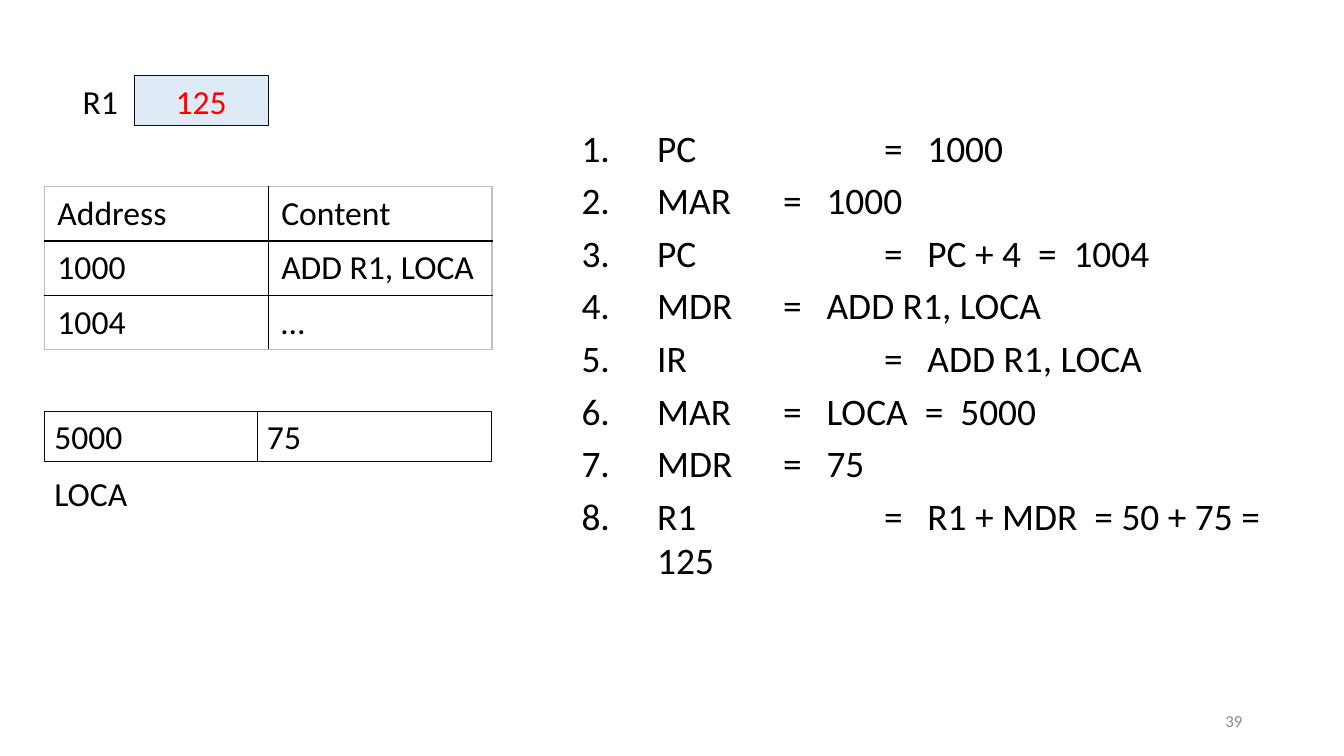
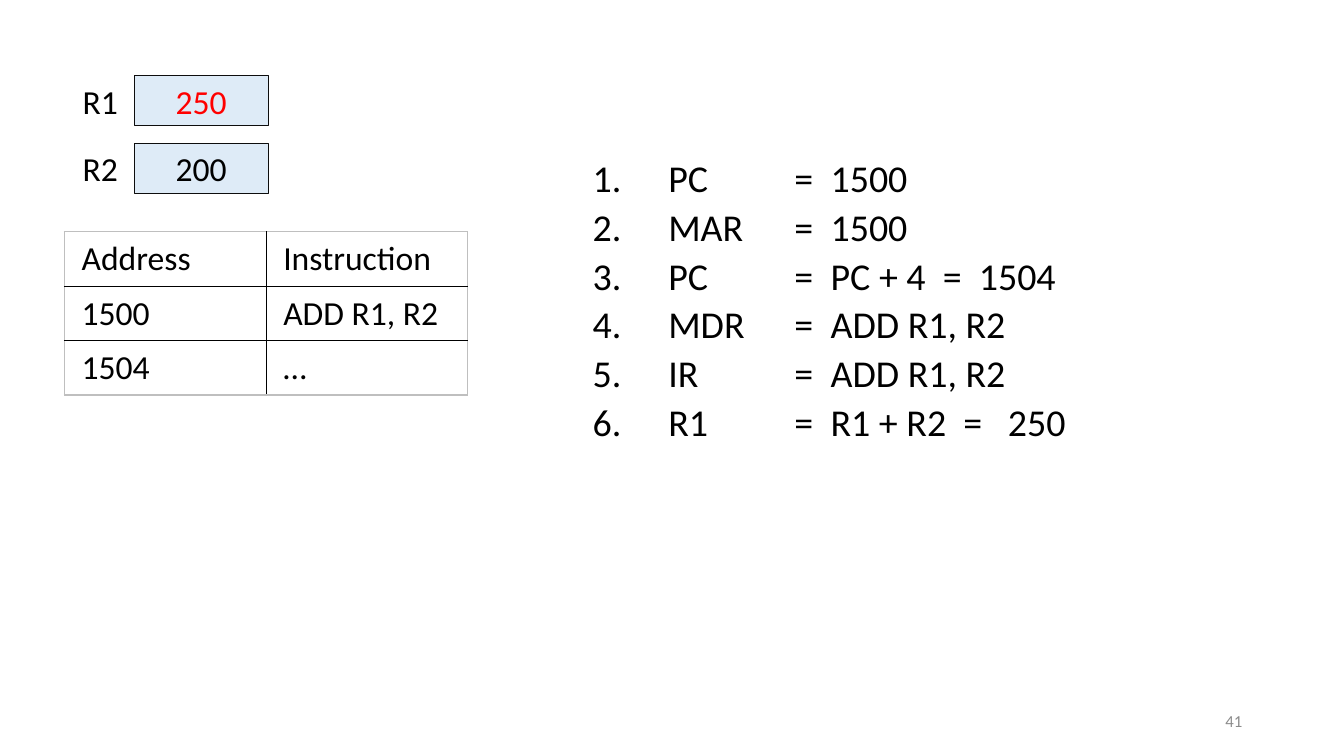
"""Build two slides that trace an ADD instruction through the CPU registers."""
from dataclasses import dataclass

from lxml import etree
from pptx import Presentation
from pptx import util as u
from pptx.dml.color import RGBColor
from pptx.enum import shapes, text
from pptx.oxml import ns

COLORS = {
    "ink": "000000",
    "outline": "0D0D0D",
    "register": "DEEBF7",
    "result": "FF0000",
    "edge": "BFBFBF",
    "number": "8C8C8C",
}
FONT = "Calibri"
BODY_SIZE = 24
BOX_HEIGHT = 0.5
ROW_HEIGHT = 0.54
INDENT = 0.75
STEP_GAP = 5.5
REGISTER_TOP = 0.75
REGISTER_PITCH = 0.67


@dataclass(frozen=True)
class Label:
    words: str
    left: float
    top: float
    width: float
    height: float = BOX_HEIGHT
    size: float = BODY_SIZE
    color: str = "ink"
    align: text.PP_ALIGN = text.PP_ALIGN.LEFT
    anchor: text.MSO_ANCHOR = text.MSO_ANCHOR.TOP
    fill: str | None = None
    outlined: bool = False


@dataclass(frozen=True)
class Register:
    name: str
    value: str
    color: str = "ink"


@dataclass(frozen=True)
class Memory:
    left: float
    top: float
    column: float
    inset: float
    header_rule: float
    rows: tuple[tuple[str, str], ...]


@dataclass(frozen=True)
class Step:
    target: str
    value: str
    equals_at: float = 2


@dataclass(frozen=True)
class StepList:
    left: float
    top: float
    width: float
    height: float
    size: float
    line_spacing: float
    value_gap: float
    steps: tuple[Step, ...]


@dataclass(frozen=True)
class Trace:
    number: str
    registers: tuple[Register, ...]
    memory: Memory
    step_list: StepList
    extras: tuple[Label, ...] = ()


TRACES = (
    Trace(
        "39",
        (Register("R1", "125", "result"),),
        Memory(0.44, 1.85, 2.22, 0.13, 1.5, (
            ("Address", "Content"),
            ("1000", "ADD R1, LOCA"),
            ("1004", "…"),
        )),
        StepList(5.67, 1.19, 7.5, 5.11, 26.7, 1, 0.43, (
            Step("PC", "1000", 3),
            Step("MAR", "1000"),
            Step("PC", "PC + 4  =  1004", 3),
            Step("MDR", "ADD R1, LOCA"),
            Step("IR", "ADD R1, LOCA", 3),
            Step("MAR", "LOCA  =  5000"),
            Step("MDR", "75"),
            Step("R1", "R1 + MDR  = 50 + 75 = 125", 3),
        )),
        (
            Label("5000", 0.44, 4.08, 2.11, outlined=True),
            Label("75", 2.55, 4.08, 2.33, outlined=True),
            Label("LOCA", 0.44, 4.64, 1.33),
        ),
    ),
    Trace(
        "41",
        (Register("R1", "250", "result"), Register("R2", "200")),
        Memory(0.64, 2.3, 2, 0.17, 1, (
            ("Address", "Instruction"),
            ("1500", "ADD R1, R2"),
            ("1504", "…"),
        )),
        StepList(5.78, 1.54, 6.89, 3.21, 27.1, 0.9, 0.36, (
            Step("PC", "1500"),
            Step("MAR", "1500"),
            Step("PC", "PC + 4  =  1504"),
            Step("MDR", "ADD R1, R2"),
            Step("IR", "ADD R1, R2"),
            Step("R1", "R1 + R2  =   250"),
        )),
    ),
)


def rgb(name: str) -> RGBColor:
    return RGBColor.from_string(COLORS[name])


def style_font(font, size: float = BODY_SIZE, color: str = "ink") -> None:
    values = {"name": FONT, "size": u.Pt(size), "bold": False}
    for key, value in values.items():
        setattr(font, key, value)
    font.color.rgb = rgb(color)


def add_child(parent, tag: str, **values):
    child = etree.SubElement(parent, ns.qn(tag))
    for key, value in values.items():
        child.set(key, str(value))
    return child


def draw_label(page, label: Label) -> None:
    frame = [u.Inches(n) for n in (label.left, label.top, label.width, label.height)]
    if label.outlined:
        box = page.shapes.add_shape(shapes.MSO_SHAPE.RECTANGLE, *frame)
        box.shadow.inherit = False
        box.line.color.rgb = rgb("outline")
        box.line.width = u.Pt(0.75)
        if label.fill:
            box.fill.solid()
            box.fill.fore_color.rgb = rgb(label.fill)
        else:
            box.fill.background()
    else:
        box = page.shapes.add_textbox(*frame)
    box.text_frame.word_wrap = True
    box.text_frame.vertical_anchor = label.anchor
    para = box.text_frame.paragraphs[0]
    para.alignment = label.align
    span = para.add_run()
    span.text = label.words
    style_font(span.font, label.size, label.color)


def draw_registers(page, registers: tuple[Register, ...]) -> None:
    center = text.PP_ALIGN.CENTER
    for index, register in enumerate(registers):
        top = REGISTER_TOP + index * REGISTER_PITCH
        draw_label(page, Label(register.name, 0.33, top, 1.33, align=center))
        draw_label(page, Label(register.value, 1.33, top, 1.33, color=register.color,
                               align=center, fill="register", outlined=True))


def draw_border(cell, side: str, color: str, width: float) -> None:
    line = add_child(cell._tc.get_or_add_tcPr(), f"a:ln{side}", w=int(u.Pt(width)))
    fill = add_child(line, "a:solidFill")
    add_child(fill, "a:srgbClr", val=COLORS[color])


def draw_memory(page, memory: Memory) -> None:
    rows, columns = len(memory.rows), len(memory.rows[0])
    table = page.shapes.add_table(
        rows, columns, u.Inches(memory.left), u.Inches(memory.top),
        u.Inches(memory.column * columns), u.Inches(ROW_HEIGHT * rows)).table
    table.first_row = table.horz_banding = False
    for column in table.columns:
        column.width = u.Inches(memory.column)
    insets = {"margin_left": memory.inset, "margin_right": memory.inset,
              "margin_top": 0.07, "margin_bottom": 0.07}
    for row, words in enumerate(memory.rows):
        table.rows[row].height = u.Inches(ROW_HEIGHT)
        for column, word in enumerate(words):
            cell = table.cell(row, column)
            for key, value in insets.items():
                setattr(cell, key, u.Inches(value))
            outer = {"L": column == 0, "R": column == columns - 1,
                     "T": row == 0, "B": row == rows - 1}
            header = {"T": row == 1, "B": row == 0}
            for side, on_edge in outer.items():
                width = memory.header_rule if header.get(side) else 1
                draw_border(cell, side, "edge" if on_edge else "ink", width)
            cell.fill.background()
            span = cell.text_frame.paragraphs[0].add_run()
            span.text = word
            style_font(span.font)


def draw_steps(page, plan: StepList) -> None:
    box = page.shapes.add_textbox(*(u.Inches(n) for n in (
        plan.left, plan.top, plan.width, plan.height)))
    frame = box.text_frame
    frame.word_wrap = True
    for index, step in enumerate(plan.steps):
        para = frame.add_paragraph() if index else frame.paragraphs[0]
        layout = {"line_spacing": plan.line_spacing, "space_after": u.Pt(STEP_GAP)}
        for key, value in layout.items():
            setattr(para, key, value)
        properties = para._p.get_or_add_pPr()
        properties.set("marL", str(u.Inches(INDENT)))
        properties.set("indent", str(u.Inches(-INDENT)))
        add_child(properties, "a:buFont", typeface=FONT)
        add_child(properties, "a:buAutoNum", type="arabicPeriod")
        stops = add_child(properties, "a:tabLst")
        for stop in (step.equals_at, step.equals_at + plan.value_gap):
            add_child(stops, "a:tab", pos=int(u.Inches(stop)), algn="l")
        span = para.add_run()
        span.text = f"{step.target}\t=\t{step.value}"
        style_font(span.font, plan.size)


def draw_trace(deck, trace: Trace) -> None:
    page = deck.slides.add_slide(deck.slide_layouts[6])
    draw_steps(page, trace.step_list)
    draw_memory(page, trace.memory)
    draw_registers(page, trace.registers)
    for label in trace.extras:
        draw_label(page, label)
    draw_label(page, Label(trace.number, 9.42, 6.95, 3, 0.4, 12, "number",
                           text.PP_ALIGN.RIGHT, text.MSO_ANCHOR.MIDDLE))


def main() -> None:
    deck = Presentation()
    deck.slide_width = u.Inches(13.33)
    deck.slide_height = u.Inches(7.5)
    for trace in TRACES:
        draw_trace(deck, trace)
    deck.save("out.pptx")


if __name__ == "__main__":
    main()
